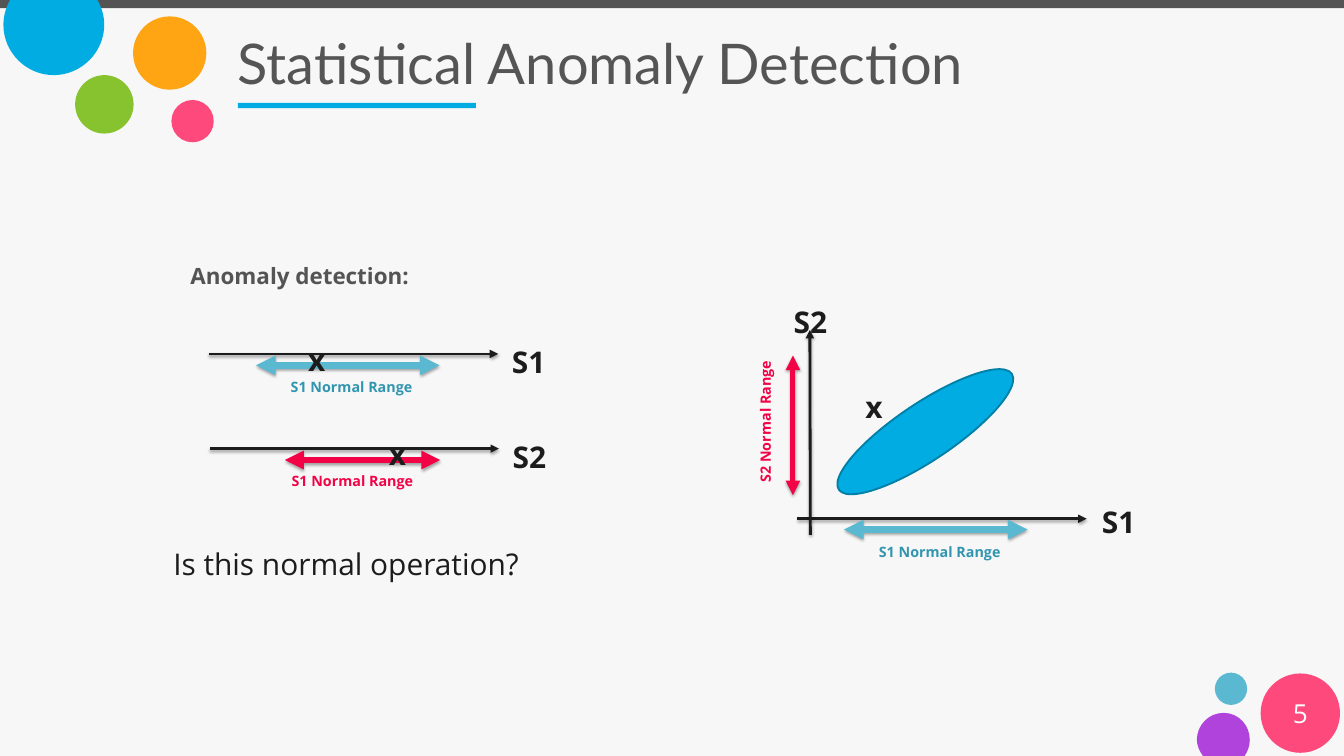
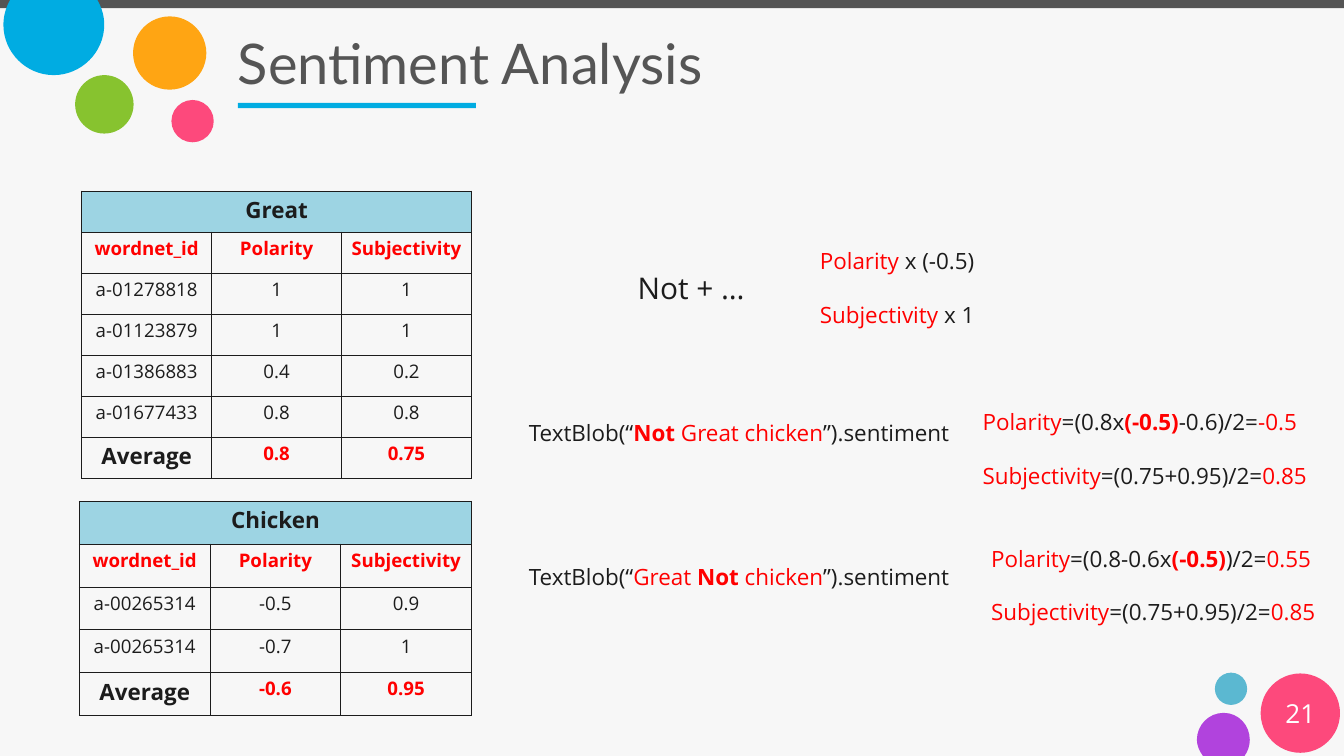
from dataclasses import dataclass

from lxml import etree
from pptx import Presentation
from pptx.dml.color import RGBColor
from pptx.enum.shapes import MSO_CONNECTOR, MSO_SHAPE
from pptx.enum.text import MSO_ANCHOR, PP_ALIGN
from pptx.oxml.ns import qn
from pptx.util import Cm, Pt

OVAL = MSO_SHAPE.OVAL
RECT = MSO_SHAPE.RECTANGLE
STRAIGHT = MSO_CONNECTOR.STRAIGHT
MIDDLE = MSO_ANCHOR.MIDDLE
TOP = MSO_ANCHOR.TOP
LEFT = PP_ALIGN.LEFT
CENTER = PP_ALIGN.CENTER

WIDE, HIGH = 50.8, 28.58
PAPER, GREY, SLATE, WHITE = "F7F7F7", "545454", "555555", "FFFFFF"
INK, RED, ROSE = "1C1C1C", "FF0000", "F20346"
BLUE, NAVY, PINK, GREEN = "00ACE2", "007FA7", "FD497C", "87C32F"
GOLD, TEAL, SEA, SKY, PLUM = "FFA513", "5BB8D1", "3195B0", "9DD4E3", "B143DD"
SANS, LATO = "Open Sans", "Lato"


@dataclass(frozen=True)
class Run:
    text: str
    color: str = INK
    size: float = 24
    bold: bool = False
    font: str = SANS


@dataclass(frozen=True)
class Note:
    left: float
    top: float
    width: float
    height: float
    lines: tuple[tuple[Run, ...], ...]
    gap: float = 1
    turn: float = 0
    wrap: bool = True
    align: PP_ALIGN = LEFT
    anchor: MSO_ANCHOR = TOP
    pad: float = 0.25


@dataclass(frozen=True)
class Block:
    left: float
    top: float
    width: float
    height: float
    color: str
    kind: MSO_SHAPE = OVAL
    turn: float = 0
    edge: str = ""


@dataclass(frozen=True)
class Blob:
    color: str
    steps: str
    points: tuple[tuple[float, float], ...]


@dataclass(frozen=True)
class Arrow:
    start: tuple[float, float]
    end: tuple[float, float]
    color: str = INK
    weight: float = 3
    double: bool = False


@dataclass(frozen=True)
class Scale:
    name: str
    left: float
    top: float
    low: float
    high: float
    mark: float
    color: str
    shade: str
    weight: float


@dataclass(frozen=True)
class Grid:
    left: float
    top: float
    column: float
    row: float
    title: str
    data: tuple[tuple[str, str, str], ...]


def hue(code: str) -> RGBColor:
    return RGBColor.from_string(code)


def paint(shape, color: str, edge: str = "") -> None:
    shape.shadow.inherit = False
    shape.fill.solid()
    shape.fill.fore_color.rgb = hue(color)
    if edge:
        shape.line.color.rgb = hue(edge)
        shape.line.width = Pt(2)
    else:
        shape.line.fill.background()


def write(line, runs: tuple[Run, ...]) -> None:
    for item in runs:
        run = line.add_run()
        run.text = item.text
        run.font.name = item.font
        run.font.size = Pt(item.size)
        run.font.bold = item.bold
        run.font.color.rgb = hue(item.color)


def draw_note(slide, note: Note) -> None:
    box = slide.shapes.add_textbox(
        Cm(note.left), Cm(note.top), Cm(note.width), Cm(note.height))
    box.rotation = note.turn
    frame = box.text_frame
    frame.word_wrap = note.wrap
    frame.vertical_anchor = note.anchor
    frame.margin_left = frame.margin_right = Cm(note.pad)
    frame.margin_top = frame.margin_bottom = Cm(note.pad / 2)
    for place, runs in enumerate(note.lines):
        line = frame.add_paragraph() if place else frame.paragraphs[0]
        line.alignment = note.align
        line.line_spacing = float(note.gap)
        write(line, runs)


def draw_block(slide, block: Block) -> None:
    shape = slide.shapes.add_shape(
        block.kind, Cm(block.left), Cm(block.top),
        Cm(block.width), Cm(block.height))
    shape.rotation = block.turn
    paint(shape, block.color, block.edge)


def draw_blob(slide, blob: Blob) -> None:
    points = [(Cm(across), Cm(down)) for across, down in blob.points]
    form = slide.shapes.build_freeform(*points[0])
    form.add_line_segments(points[1:], close=True)
    shape = form.convert_to_shape()
    lines = iter(list(shape._element.iter(qn("a:lnTo"))))
    for step in blob.steps:
        first = next(lines)
        if step == "C":
            first.tag = qn("a:cubicBezTo")
            for line in (next(lines), next(lines)):
                first.append(line[0])
                line.getparent().remove(line)
    paint(shape, blob.color)


def draw_arrow(slide, arrow: Arrow) -> None:
    line = slide.shapes.add_connector(
        STRAIGHT, *(Cm(value) for value in arrow.start + arrow.end))
    line.line.color.rgb = hue(arrow.color)
    line.line.width = Pt(arrow.weight)
    stroke = line.line._get_or_add_ln()
    for tag in ("a:headEnd", "a:tailEnd") if arrow.double else ("a:tailEnd",):
        etree.SubElement(stroke, qn(tag), type="triangle")
    effect = etree.SubElement(line._element.spPr, qn("a:effectLst"))
    shadow = etree.SubElement(effect, qn("a:outerShdw"), blurRad="40000",
                              dist="23000", dir="5400000", rotWithShape="0")
    tint = etree.SubElement(shadow, qn("a:srgbClr"), val="000000")
    etree.SubElement(tint, qn("a:alpha"), val="35000")


def name_note(text: str, left: float, top: float) -> Note:
    return Note(left, top, 2.4, 1.63, ((Run(text, size=32, bold=True),),))


def mark_note(left: float, top: float) -> Note:
    return Note(left, top, 1.19, 1.02, ((Run("x", size=32, bold=True),),))


def range_note(text: str, left: float, top: float, color: str,
               turn: float = 0) -> Note:
    return Note(left, top, 5.26, 1.04,
                ((Run(f"{text} Normal Range", color, 15.3, True),),), 0.8, turn)


def draw_scale(slide, scale: Scale) -> None:
    left, top = scale.left, scale.top
    draw_arrow(slide, Arrow((left, top), (left + 10.92, top)))
    draw_arrow(slide, Arrow((scale.low, top + 0.43), (scale.high, top + 0.43),
                            scale.color, scale.weight, True))
    draw_note(slide, range_note("S1", left + 2.83, top + 0.91, scale.shade))
    draw_note(slide, name_note(scale.name, left + 11.19, top - 0.51))
    draw_note(slide, mark_note(scale.mark, top - 0.6))


def draw_cell(cell, run: Run, fill: str = "") -> None:
    line = cell.text_frame.paragraphs[0]
    line.alignment = CENTER
    write(line, (run,))
    if fill:
        cell.fill.solid()
        cell.fill.fore_color.rgb = hue(fill)


def frame_cell(cell) -> None:
    cell.fill.background()
    props = cell._tc.get_or_add_tcPr()
    for place, tag in enumerate(("a:lnL", "a:lnR", "a:lnT", "a:lnB")):
        edge = etree.Element(qn(tag), w="12700")
        solid = etree.SubElement(edge, qn("a:solidFill"))
        etree.SubElement(solid, qn("a:srgbClr"), val=INK)
        props.insert(place, edge)


def draw_grid(slide, grid: Grid) -> None:
    rows = (("wordnet_id", "Polarity", "Subjectivity"),) + grid.data
    count = len(rows) + 1
    table = slide.shapes.add_table(
        count, 3, Cm(grid.left), Cm(grid.top),
        Cm(3 * grid.column), Cm(count * grid.row)).table
    table.first_row = table.horz_banding = False
    for column in table.columns:
        column.width = Cm(grid.column)
    for row in table.rows:
        row.height = Cm(grid.row)
    for cell in table.iter_cells():
        frame_cell(cell)
    table.cell(0, 0).merge(table.cell(0, 2))
    draw_cell(table.cell(0, 0), Run(grid.title, bold=True), SKY)
    for down, row in enumerate(rows, 1):
        strong = down in (1, count - 1)
        for across, text in enumerate(row):
            label = text == "Average"
            color = RED if strong and not label else INK
            draw_cell(table.cell(down, across),
                      Run(text, color, 24 if label else 20, strong))


def start_slide(deck, title: str, number: int):
    slide = deck.slides.add_slide(deck.slide_layouts[6])
    back = slide.background.fill
    back.solid()
    back.fore_color.rgb = hue(PAPER)
    for item in (
        Block(0, 0, WIDE, 0.31, GREY, RECT),
        Block(6.48, 3.78, 1.6, 1.6, PINK),
        Block(2.84, 2.84, 2.21, 2.21, GREEN),
        Block(5.03, 0.62, 2.77, 2.77, GOLD),
        Block(45.92, 25.43, 1.22, 1.22, TEAL),
        Block(47.65, 25.46, 3, 3, PINK),
        Block(8.99, 3.89, 9, 0.2, BLUE, RECT),
    ):
        draw_block(slide, item)
    draw_blob(slide, Blob(BLUE, "LCCCC", (
        (0.38, 0), (3.68, 0),
        (3.84, 0.28), (3.94, 0.58), (3.94, 0.94),
        (3.94, 1.98), (3.07, 2.84), (2.03, 2.84),
        (0.99, 2.84), (0.13, 1.98), (0.13, 0.94),
        (0.13, 0.58), (0.23, 0.28), (0.38, 0))))
    draw_blob(slide, Blob(PLUM, "CCLCC", (
        (46.25, 26.95),
        (46.81, 26.95), (47.24, 27.41), (47.24, 27.97),
        (47.24, 28.19), (47.17, 28.4), (47.04, HIGH),
        (45.47, HIGH),
        (45.34, 28.4), (45.24, 28.19), (45.24, 27.97),
        (45.24, 27.41), (45.69, 26.95), (46.25, 26.95))))
    draw_note(slide, Note(8.53, 0.69, 39.85, 3.35,
                          ((Run(title, SLATE, 60, font=LATO),),),
                          anchor=MIDDLE, pad=0.46))
    draw_note(slide, Note(47.65, 26.21, 3, 1.52,
                          ((Run(str(number), WHITE, 28),),),
                          align=CENTER, anchor=MIDDLE, pad=0.46))
    return slide


def build_ranges(deck) -> None:
    slide = start_slide(deck, "Statistical Anomaly Detection", 5)
    draw_note(slide, Note(6.95, 9.58, 9.07, 1.85,
                          ((Run("Anomaly detection:", GREY, bold=True),),), 1.2))
    draw_scale(slide, Scale("S1", 7.91, 13.38, 9.68, 16.61, 11.4, TEAL, SEA, 7))
    draw_scale(slide, Scale("S2", 7.94, 16.96, 10.77, 16.64, 14.45, ROSE, ROSE, 6.75))
    for arrow in (
        Arrow((30.14, 19.61), (41.07, 19.61)),
        Arrow((30.63, 20.22), (30.61, 12.47)),
        Arrow((29.97, 13.44), (29.97, 18.72), ROSE, 5.25, True),
        Arrow((31.9, 20.02), (38.84, 20.02), TEAL, 7, True),
    ):
        draw_arrow(slide, arrow)
    draw_block(slide, Block(31.04, 15.24, 7.87, 2.16, BLUE, turn=326.2, edge=NAVY))
    for note in (
        mark_note(32.46, 14.58),
        range_note("S1", 32.97, 20.52, SEA),
        range_note("S2", 26.49, 15.34, ROSE, 270),
        name_note("S2", 29.75, 11.34),
        name_note("S1", 41.4, 18.9),
        Note(6.3, 20.65, 16.28, 1.85,
             ((Run("Is this normal operation?", size=32),),), 0.9),
    ):
        draw_note(slide, note)


def build_scores(deck) -> None:
    slide = start_slide(deck, "Sentiment Analysis", 21)
    draw_grid(slide, Grid(3.09, 7.22, 4.91, 1.55, "Great", (
        ("a-01278818", "1", "1"), ("a-01123879", "1", "1"),
        ("a-01386883", "0.4", "0.2"), ("a-01677433", "0.8", "0.8"),
        ("Average", "0.8", "0.75"))))
    draw_grid(slide, Grid(3, 18.95, 4.94, 1.62, "Chicken", (
        ("a-00265314", "-0.5", "0.9"), ("a-00265314", "-0.7", "1"),
        ("Average", "-0.6", "0.95"))))
    call, close = Run("TextBlob(“"), Run("”).sentiment")
    negate, factor = Run("Not ", RED, bold=True), Run("(-0.5)", RED, bold=True)
    polar = Run("Polarity", RED)
    total = (Run("Subjectivity", RED), Run("=(0.75+0.95)/2="), Run("0.85", RED))
    for left, top, width, height, lines in (
        (37.21, 19.45, 12.9, 4.37, (
            (polar, Run("=(0.8-0.6x"), factor, Run(")/2="), Run("0.55", RED)),
            total)),
        (19.74, 14.71, 16.43, 2.31,
         ((call, negate, Run("Great chicken", RED), close),)),
        (19.74, 20.14, 16.43, 2.31,
         ((call, Run("Great ", RED), negate, Run("chicken", RED), close),)),
        (36.89, 14.3, 12.9, 4.37, (
            (polar, Run("=(0.8x"), factor, Run("-0.6)/2="), Run("-0.5", RED)),
            total)),
        (23.85, 8.71, 4.62, 3, ((Run("Not + …", size=32),),)),
        (30.74, 8.2, 12.17, 4.37, (
            (Run("Polarity ", RED), Run("x (-0.5)")),
            (Run("Subjectivity ", RED), Run("x 1")))),
    ):
        draw_note(slide, Note(left, top, width, height, lines, 2, wrap=False))


def main() -> None:
    deck = Presentation()
    deck.slide_width, deck.slide_height = Cm(WIDE), Cm(HIGH)
    build_ranges(deck)
    build_scores(deck)
    deck.save("out.pptx")


if __name__ == "__main__":
    main()
